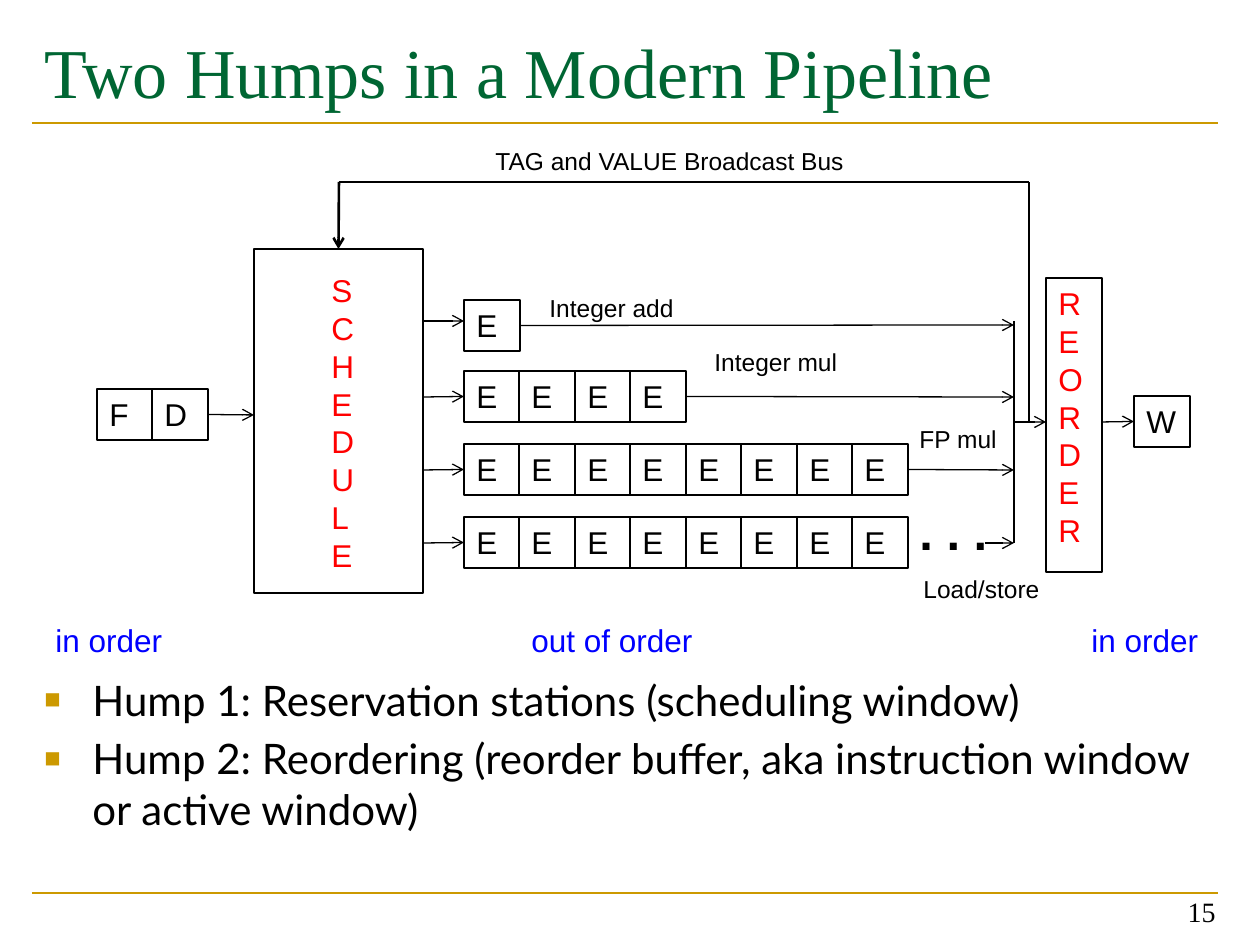
from lxml.etree import SubElement
from pptx import Presentation
from pptx.dml.color import RGBColor
from pptx.enum.shapes import MSO_CONNECTOR, MSO_SHAPE
from pptx.enum.text import MSO_ANCHOR, PP_ALIGN
from pptx.oxml.ns import qn
from pptx.util import Pt

PX = 914400 / 126
COLORS = {
    "black": "000000",
    "white": "FFFFFF",
    "gold": "CC9900",
    "green": "006633",
    "red": "FF0000",
    "blue": "0000FF",
}
TOP, LEFT, RIGHT = 0, 1, 3
CELL_WIDTH, CELL_HEIGHT = 56, 51
UNITS_LEFT, UNITS_WIDTH, MAX_STAGES = 464, 444, 8
FORK_X, JOIN_X = 423, 1014


def px(*lengths):
    return [round(length * PX) for length in lengths]


def rgb(name):
    return RGBColor.from_string(COLORS[name])


def add_bullet(paragraph):
    properties = paragraph._p.get_or_add_pPr()
    indent = px(48)[0]
    properties.set("marL", str(indent))
    properties.set("indent", str(-indent))
    tint = SubElement(properties, qn("a:buClr"))
    SubElement(tint, qn("a:srgbClr"), val=COLORS["gold"])
    SubElement(properties, qn("a:buSzPct"), val="65000")
    SubElement(properties, qn("a:buFont"), typeface="Arial")
    SubElement(properties, qn("a:buChar"), char="■")


def write(frame, text, size=18, color="black", font="Arial", bold=False,
          align=PP_ALIGN.LEFT, anchor=MSO_ANCHOR.TOP, wrap=False,
          bullet=False, gap=0):
    frame.text = text
    frame.word_wrap = wrap
    frame.vertical_anchor = anchor
    for index, paragraph in enumerate(frame.paragraphs):
        if bullet:
            add_bullet(paragraph)
        paragraph.alignment = align
        paragraph.space_before = Pt(gap if index else 0)
        for run in paragraph.runs:
            run.font.size = Pt(size)
            run.font.name = font
            run.font.bold = bold
            run.font.color.rgb = rgb(color)


def add_label(slide, text, left, top, width, height, **style):
    label = slide.shapes.add_textbox(*px(left, top, width, height))
    write(label.text_frame, text, **style)


def add_box(slide, left, top, width, height, text="", **style):
    box = slide.shapes.add_shape(
        MSO_SHAPE.RECTANGLE, *px(left, top, width, height))
    box.shadow.inherit = False
    box.fill.solid()
    box.fill.fore_color.rgb = rgb("white")
    box.line.color.rgb = rgb("black")
    box.line.width = Pt(0.75)
    write(box.text_frame, text, wrap=True, **style)
    return box


def add_line(slide, x1, y1, x2, y2, color="black", weight=0.75,
             arrow=False, begin=None, end=None):
    line = slide.shapes.add_connector(
        MSO_CONNECTOR.STRAIGHT, *px(x1, y1, x2, y2))
    line.line.color.rgb = rgb(color)
    line.line.width = Pt(weight)
    if arrow:
        SubElement(line.line._get_or_add_ln(), qn("a:tailEnd"), type="arrow")
    SubElement(line._element.spPr, qn("a:effectLst"))
    if begin:
        line.begin_connect(*begin)
    if end:
        line.end_connect(*end)


def add_unit(slide, top, stages):
    return [
        add_box(slide, UNITS_LEFT + UNITS_WIDTH * stage // MAX_STAGES, top,
                CELL_WIDTH, CELL_HEIGHT, "E")
        for stage in range(stages)
    ]


def add_execution_units(slide):
    integer_add = add_unit(slide, 300, 1)
    integer_mul = add_unit(slide, 371, 4)
    fp_mul = add_unit(slide, 444, 8)
    load_store = add_unit(slide, 517, 8)

    add_line(slide, FORK_X, 321, FORK_X, 543)
    add_line(slide, FORK_X, 321, UNITS_LEFT, 321, arrow=True)
    for unit, y in ((integer_mul, 397), (fp_mul, 470), (load_store, 543)):
        add_line(slide, FORK_X, y, UNITS_LEFT, y, arrow=True,
                 end=(unit[0], LEFT))

    add_line(slide, JOIN_X, 321, JOIN_X, 543)
    for unit, y in ((integer_add, 325), (integer_mul, 397), (fp_mul, 470)):
        add_line(slide, UNITS_LEFT, y, JOIN_X, y, arrow=True,
                 begin=(unit[-1], RIGHT))
    add_line(slide, 985, 543, JOIN_X, 543, arrow=True)

    add_label(slide, ". . .", 907, 495, 95, 72, size=28, bold=True)
    for name, left, top, width in (
        ("Integer add", 537, 287, 150),
        ("Integer mul", 702, 341, 149),
        ("FP mul", 907, 418, 103),
        ("Load/store", 911, 568, 169),
    ):
        add_label(slide, name, left, top, width, 43, size=14)


def add_pipeline(slide):
    add_box(slide, 97, 389, CELL_WIDTH, CELL_HEIGHT, "F")
    decode = add_box(slide, 152, 389, CELL_WIDTH, CELL_HEIGHT, "D")
    schedule = add_box(slide, 254, 249, 169, 344)
    add_label(slide, "\n".join("SCHEDULE"), 319, 265, 48, 319, color="red")
    add_line(slide, 208, 415, 254, 415, arrow=True, begin=(decode, RIGHT))

    add_execution_units(slide)

    add_box(slide, 1046, 278, CELL_WIDTH, 294, "\n".join("REORDER"),
            color="red")
    write_back = add_box(slide, 1134, 396, CELL_WIDTH, CELL_HEIGHT, "W")
    add_line(slide, JOIN_X, 422, 1046, 422, arrow=True)
    add_line(slide, 1102, 422, 1134, 422, arrow=True, end=(write_back, LEFT))

    add_line(slide, 1029, 422, 1029, 182, weight=1.5)
    add_line(slide, 1029, 182, 339, 182, weight=1.5)
    add_line(slide, 339, 182, 339, 249, weight=1.5, arrow=True,
             end=(schedule, TOP))
    add_label(slide, "TAG and VALUE Broadcast Bus", 483, 140, 375, 43, size=14)

    for order, left, width in (
        ("in order", 43, 134),
        ("out of order", 519, 188),
        ("in order", 1079, 134),
    ):
        add_label(slide, order, left, 615, width, 50, color="blue")


def main():
    deck = Presentation()
    deck.slide_width, deck.slide_height = px(1260, 945)
    slide = deck.slides.add_slide(deck.slide_layouts[6])

    for rule_y in (123, 893):
        add_line(slide, 32, rule_y, 1218, rule_y, color="gold", weight=1.5)
    add_label(slide, "Two Humps in a Modern Pipeline", 32, 22, 1187, 100,
              size=40, color="green", font="Times New Roman", wrap=True)
    add_label(slide,
              "Hump 1: Reservation stations (scheduling window)\n"
              "Hump 2: Reordering (reorder buffer, aka instruction window "
              "or active window)",
              32, 668, 1213, 185, size=24, font="Lato", wrap=True,
              bullet=True, gap=4.8)
    add_label(slide, "15", 934, 871, 294, 63, size=16, font="Times New Roman",
              align=PP_ALIGN.RIGHT, anchor=MSO_ANCHOR.BOTTOM, wrap=True)
    add_pipeline(slide)

    deck.save("out.pptx")


if __name__ == "__main__":
    main()
